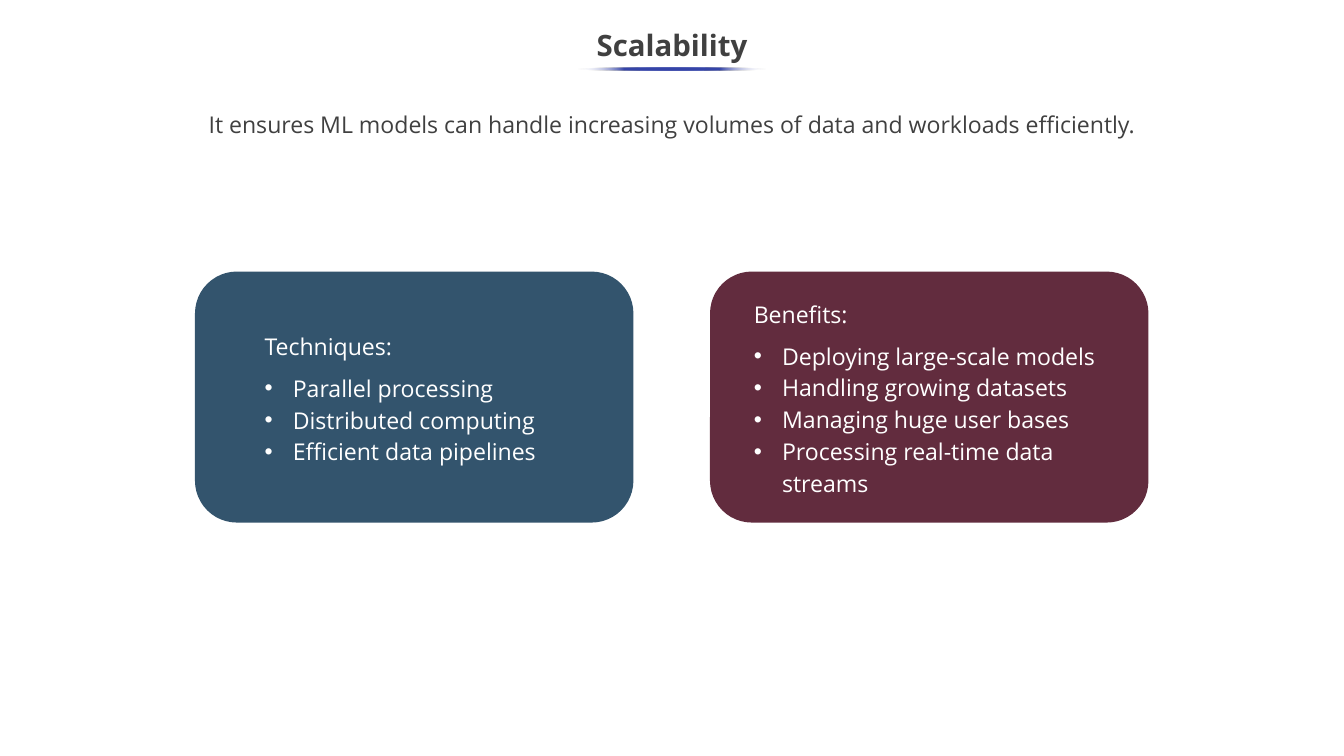
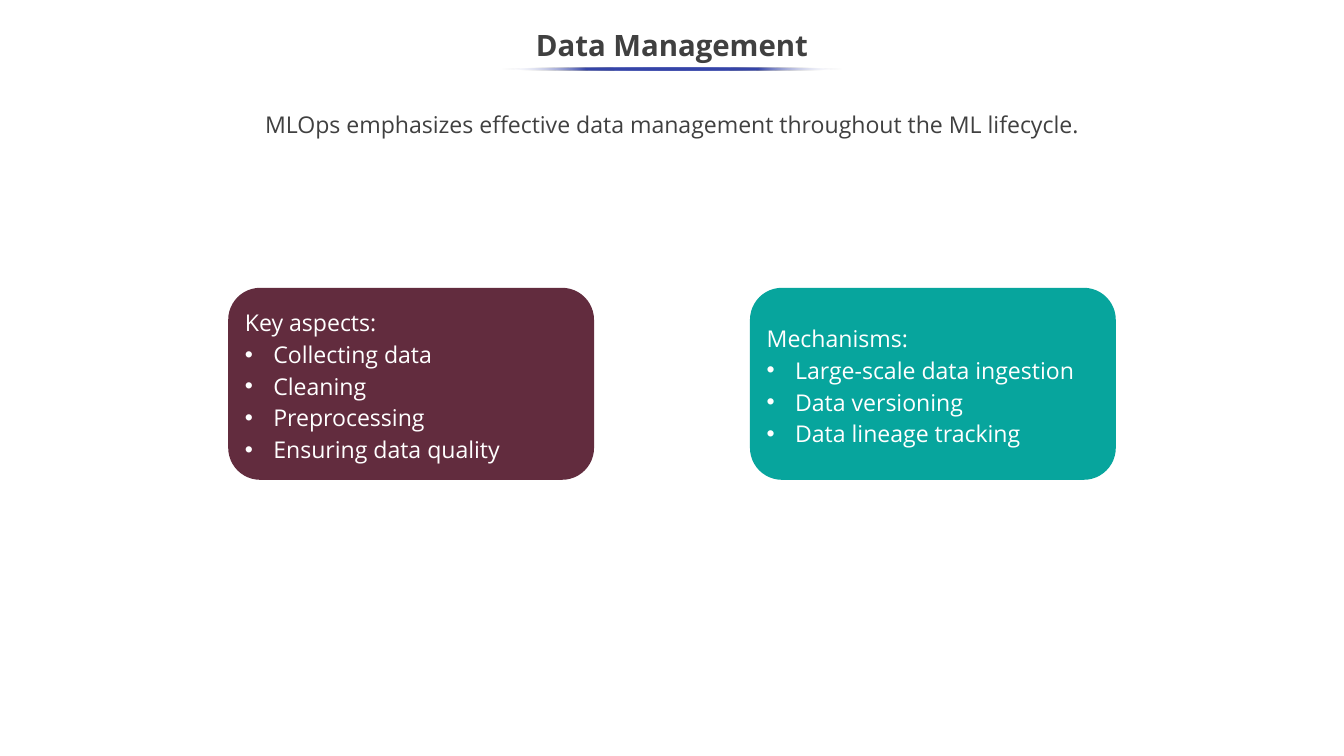
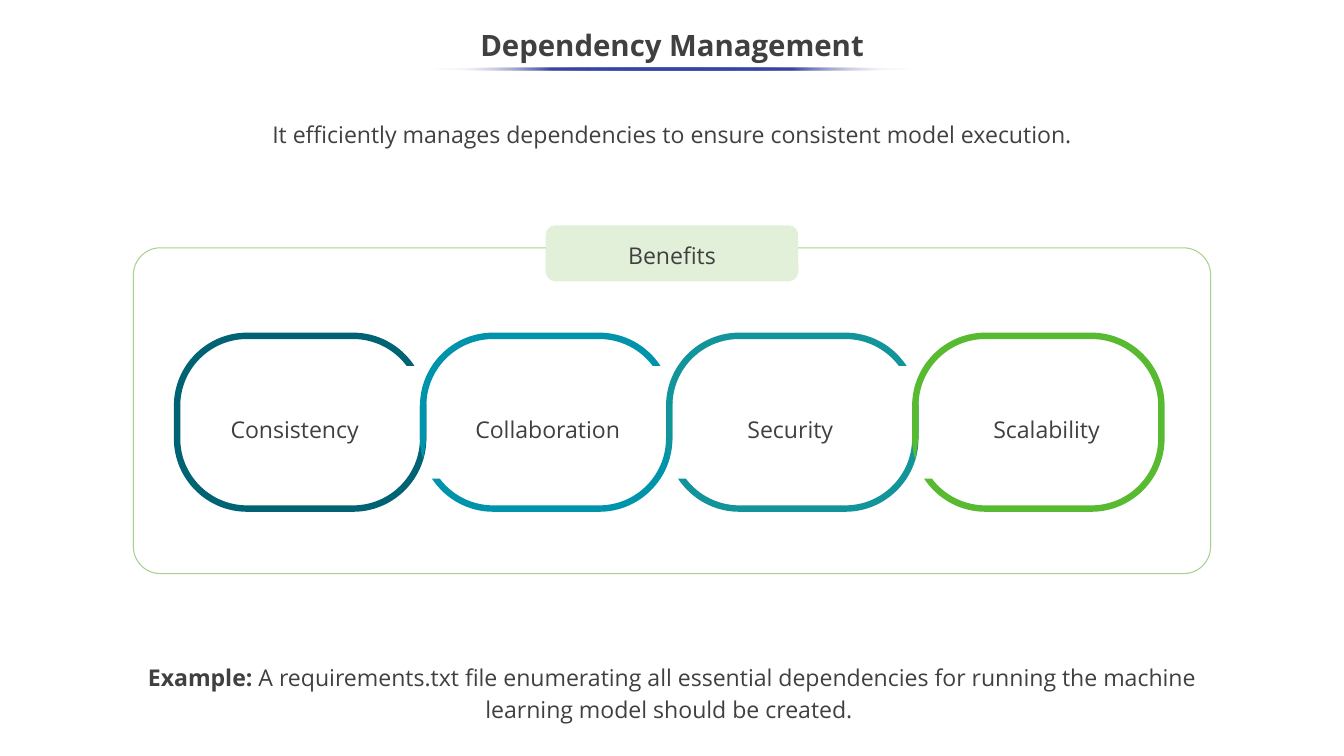
from math import asin, cos, degrees, radians, sin, tan

from lxml.etree import SubElement
from pptx import Presentation
from pptx.dml.color import RGBColor
from pptx.enum.shapes import MSO_SHAPE
from pptx.enum.text import MSO_ANCHOR, MSO_AUTO_SIZE, PP_ALIGN
from pptx.oxml.ns import qn
from pptx.util import Inches, Pt

# Palette and type
INK = RGBColor(0x40, 0x40, 0x40)
WHITE = RGBColor(0xFF, 0xFF, 0xFF)
RULE_BLUE = RGBColor(0x36, 0x45, 0xA9)
NAVY = RGBColor(0x33, 0x54, 0x6D)
WINE = RGBColor(0x62, 0x2C, 0x3E)
TEAL = RGBColor(0x07, 0xA5, 0x9D)
LEAF = RGBColor(0xA9, 0xD1, 0x8E)
MINT = RGBColor(0xE2, 0xF0, 0xD9)
LINK_COLORS = [RGBColor(0x00, 0x63, 0x74), RGBColor(0x00, 0x93, 0xAC),
               RGBColor(0x12, 0x94, 0x9B), RGBColor(0x58, 0xBA, 0x30)]
FONT = "Open Sans"
BODY_PT, TITLE_PT = 22, 28
BULLET_INDENT = Pt(27)

# Chain link, measured in rows from its centre
LINK_RADIUS, LINK_BAND = 9.7, 0.85
CORNER_X, CORNER_Y = 7.0, 2.15      # corner centres
CUT_Y, TIP_Y = 7.45, 4.95           # heights of the flat cut and the tip


def corner_arcs(radius, start, end):
    """Bezier arcs (start, control, control, end) of a rounded box's corners,
    counter-clockwise between two angles; a zero arc is a single point."""
    arcs = []
    for q in range(int(end // 90) + 1):
        cx = CORNER_X * (1, -1, -1, 1)[q % 4]
        cy = CORNER_Y * (1, 1, -1, -1)[q % 4]
        a, b = radians(max(start, 90 * q)), radians(min(end, 90 * (q + 1)))
        k = radius * 4 / 3 * tan((b - a) / 4)
        p0 = (cx + radius * cos(a), cy + radius * sin(a))
        p3 = (cx + radius * cos(b), cy + radius * sin(b))
        c1 = (p0[0] - k * sin(a), p0[1] + k * cos(a))
        c2 = (p3[0] + k * sin(b), p3[1] - k * cos(b))
        arcs.append((p0, c1, c2, p3) if b > a else (p0,))
    return arcs


def link_arm(sweep, flip):
    """A band from the flat cut to the tip; flip turns it by half a circle."""
    inner_radius = LINK_RADIUS - LINK_BAND
    cut_outer, cut_inner = (degrees(asin((CUT_Y - CORNER_Y) / r))
                            for r in (LINK_RADIUS, inner_radius))
    tip = degrees(asin((TIP_Y - CORNER_Y) / LINK_RADIUS))
    outer = corner_arcs(LINK_RADIUS, cut_outer, sweep + tip)
    inner = corner_arcs(inner_radius, cut_inner, sweep)
    turn = -1 if flip else 1
    return [[(turn * x, -turn * y) for x, y in arc]
            for arc in outer + [arc[::-1] for arc in inner[::-1]]]


def curve_outline(sp, curve_starts):
    """Turn each run of three line steps that starts a curve into a Bezier."""
    outline = sp._element.find(".//" + qn("a:path"))
    steps = [e for e in outline if e.tag != qn("a:close")]
    for i in curve_starts:
        curve = SubElement(outline, qn("a:cubicBezTo"))
        steps[i].addprevious(curve)
        for step in steps[i:i + 3]:
            curve.append(step[0])
            outline.remove(step)


class Deck:
    """Holds the style and the current slide, on a grid of 100 x 100 cells."""

    def __init__(self):
        self.prs = Presentation()
        self.prs.slide_width, self.prs.slide_height = Inches(17.78), Inches(10)
        self.col = self.prs.slide_width / 100
        self.row = self.prs.slide_height / 100
        self.s = None

    def box(self, x, y, w, h):
        """Grid cells to lengths; x of None centres the box on the slide."""
        x = (100 - w) / 2 if x is None else x
        return [int(v) for v in (x * self.col, y * self.row,
                                 w * self.col, h * self.row)]

    def paragraph(self, p, runs, color, size=BODY_PT, align=PP_ALIGN.LEFT,
                  spacing=1.15, bullet=False):
        if bullet:
            pPr = p._p.get_or_add_pPr()
            pPr.set("marL", str(BULLET_INDENT))
            pPr.set("indent", str(-BULLET_INDENT))
            SubElement(pPr, qn("a:buFont")).set("typeface", "Arial")
            SubElement(pPr, qn("a:buChar")).set("char", "•")
        p.alignment, p.line_spacing = align, spacing
        for text, bold in runs:
            r = p.add_run()
            r.text = text
            r.font.name, r.font.size, r.font.bold = FONT, Pt(size), bold
            r.font.color.rgb = color

    def slide(self, title, rule_width):
        self.s = self.prs.slides.add_slide(self.prs.slide_layouts[5])
        sp = self.s.shapes.title
        sp.left, sp.top, sp.width, sp.height = self.box(0, 2.5, 100, 7.5)
        tf = sp.text_frame
        tf.vertical_anchor = MSO_ANCHOR.MIDDLE
        self.paragraph(tf.paragraphs[0], [(title, True)], INK, TITLE_PT,
                       PP_ALIGN.CENTER, 0.9)
        self.title_rule(rule_width)

    def title_rule(self, width):
        sp = self.shape(MSO_SHAPE.OVAL, (None, 8.9, width, 0.4))
        sp.fill.gradient()
        sp.fill.gradient_angle = 180
        stops = sp.fill._fill._gradFill.find(qn("a:gsLst"))
        for stop in list(stops):
            stops.remove(stop)
        for pos in (0, 25, 50, 75, 100):
            clear = pos in (0, 100)
            gs = SubElement(stops, qn("a:gs"), pos=str(pos * 1000))
            clr = SubElement(gs, qn("a:srgbClr"),
                             val=str(WHITE if clear else RULE_BLUE))
            if clear:
                SubElement(clr, qn("a:alpha"), val="0")

    def shape(self, kind, at, fill=None, line=None):
        sp = self.s.shapes.add_shape(kind, *self.box(*at))
        self.paint(sp, fill, line)
        return sp

    def paint(self, sp, fill, line=None):
        sp.shadow.inherit = False
        if fill is None:
            sp.fill.background()
        else:
            sp.fill.solid()
            sp.fill.fore_color.rgb = fill
        if line is None:
            sp.line.fill.background()
        else:
            sp.line.color.rgb, sp.line.width = line, Pt(1)

    def text_box(self, at):
        sp = self.s.shapes.add_textbox(*self.box(*at))
        sp.text_frame.word_wrap = True
        sp.text_frame.auto_size = MSO_AUTO_SIZE.SHAPE_TO_FIT_TEXT
        return sp

    def text(self, at, runs, align=PP_ALIGN.LEFT):
        tf = self.text_box(at).text_frame
        self.paragraph(tf.paragraphs[0], runs, INK, align=align)

    def intro(self, text):
        tf = self.text_box((None, 14, 84.25, 9.9)).text_frame
        tf.auto_size = MSO_AUTO_SIZE.NONE
        tf.margin_top = tf.margin_bottom = 0
        self.paragraph(tf.paragraphs[0], [(text, False)], INK,
                       align=PP_ALIGN.CENTER)

    def list_in(self, tf, heading, items, first_spacing=1.15):
        self.paragraph(tf.paragraphs[0], [(heading, False)], WHITE)
        for i, item in enumerate(items):
            self.paragraph(tf.add_paragraph(), [(item, False)], WHITE,
                           spacing=1.15 if i else first_spacing, bullet=True)

    def card(self, at, fill, heading, items, text_at=None):
        """A rounded card; its list sits inside, or in a box at text_at."""
        sp = self.shape(MSO_SHAPE.ROUNDED_RECTANGLE, at, fill)
        if text_at:
            label = self.text_box(text_at)
            self.list_in(label.text_frame, heading, items, first_spacing=1.5)
            self.s.shapes.add_group_shape([sp, label])
        else:
            sp.text_frame.word_wrap = False
            sp.text_frame.vertical_anchor = MSO_ANCHOR.MIDDLE
            self.list_in(sp.text_frame, heading, items)
        return sp

    def link(self, centre_x, centre_y, arms, fill):
        """A chain link made of (sweep, flip) arms."""
        fb, count, curve_starts = None, 0, []
        for arm in arms:
            points = []
            for arc in link_arm(*arm):
                if len(arc) > 1:
                    curve_starts.append(count + len(points) + 1)
                points += [(centre_x * self.col + x * self.row,
                            (centre_y + y) * self.row) for x, y in arc]
            if fb is None:
                fb = self.s.shapes.build_freeform(*points[0])
            else:
                fb.move_to(*points[0])
            fb.add_line_segments(points[1:], close=True)
            count += len(points)
        sp = fb.convert_to_shape()
        curve_outline(sp, curve_starts)
        self.paint(sp, fill)


def scalability(deck):
    deck.slide("Scalability", 14)
    deck.intro("It ensures ML models can handle increasing volumes of data "
               "and workloads efficiently.")
    deck.card((14.51, 35.92, 32.62, 33.2), NAVY, "Techniques:",
              ["Parallel processing", "Distributed computing",
               "Efficient data pipelines"], (19.13, 42.95, 23.4, 19.1))
    deck.card((52.83, 35.92, 32.62, 33.2), WINE, "Benefits:",
              ["Deploying large-scale models", "Handling growing datasets",
               "Managing huge user bases",
               "Processing real-time data streams"],
              (55.53, 38.7, 27.22, 27.6))


def data_management(deck):
    deck.slide("Data Management", 25.31)
    deck.intro("MLOps emphasizes effective data management throughout the "
               "ML lifecycle.")
    cards = [
        deck.card((16.98, 38.07, 27.22, 25.4), WINE, "Key aspects:",
                  ["Collecting data", "Cleaning", "Preprocessing",
                   "Ensuring data quality"]),
        deck.card((55.8, 38.07, 27.22, 25.4), TEAL, "Mechanisms:",
                  ["Large-scale data ingestion", "Data versioning",
                   "Data lineage tracking"])]
    deck.s.shapes.add_group_shape(cards)


def dependency_management(deck):
    deck.slide("Dependency Management", 35.66)
    deck.text((None, 14.9, 62.71, 5),
              [("It efficiently manages dependencies to ensure consistent "
                "model execution.", False)], PP_ALIGN.CENTER)

    # Chain: end links are one long arm, middle links two half arms
    middle = [(180, False), (180, True)]
    chain = [[(360, False)], middle, middle, [(360, True)]]
    for i, (arms, color) in enumerate(zip(chain, LINK_COLORS)):
        deck.link(22.33 + 18.31 * i, 55.85, arms, color)
    for label, x, w in [("Consistency", 16.6, 11.19),
                        ("Collaboration", 34.81, 12.43),
                        ("Security", 55.06, 7.82),
                        ("Scalability", 73.35, 9.62)]:
        deck.text((x, 53.9, w, 5), [(label, False)])

    # Frame with its tab
    frame = deck.shape(MSO_SHAPE.ROUNDED_RECTANGLE,
                       (None, 32.78, 80.15, 43.1), line=LEAF)
    frame.adjustments[0] = 0.083
    tab = deck.shape(MSO_SHAPE.ROUNDED_RECTANGLE,
                     (None, 29.82, 18.79, 7.4), MINT)
    tab.text_frame.vertical_anchor = MSO_ANCHOR.MIDDLE
    deck.paragraph(tab.text_frame.paragraphs[0], [("Benefits", False)], INK,
                   align=PP_ALIGN.CENTER)

    deck.text((None, 86.75, 85.49, 9.3),
              [("Example: ", True),
               ("A requirements.txt file enumerating all essential "
                "dependencies for running the machine learning model should "
                "be created. ", False)], PP_ALIGN.CENTER)


def main():
    deck = Deck()
    scalability(deck)
    data_management(deck)
    dependency_management(deck)
    deck.prs.save("out.pptx")


if __name__ == "__main__":
    main()
